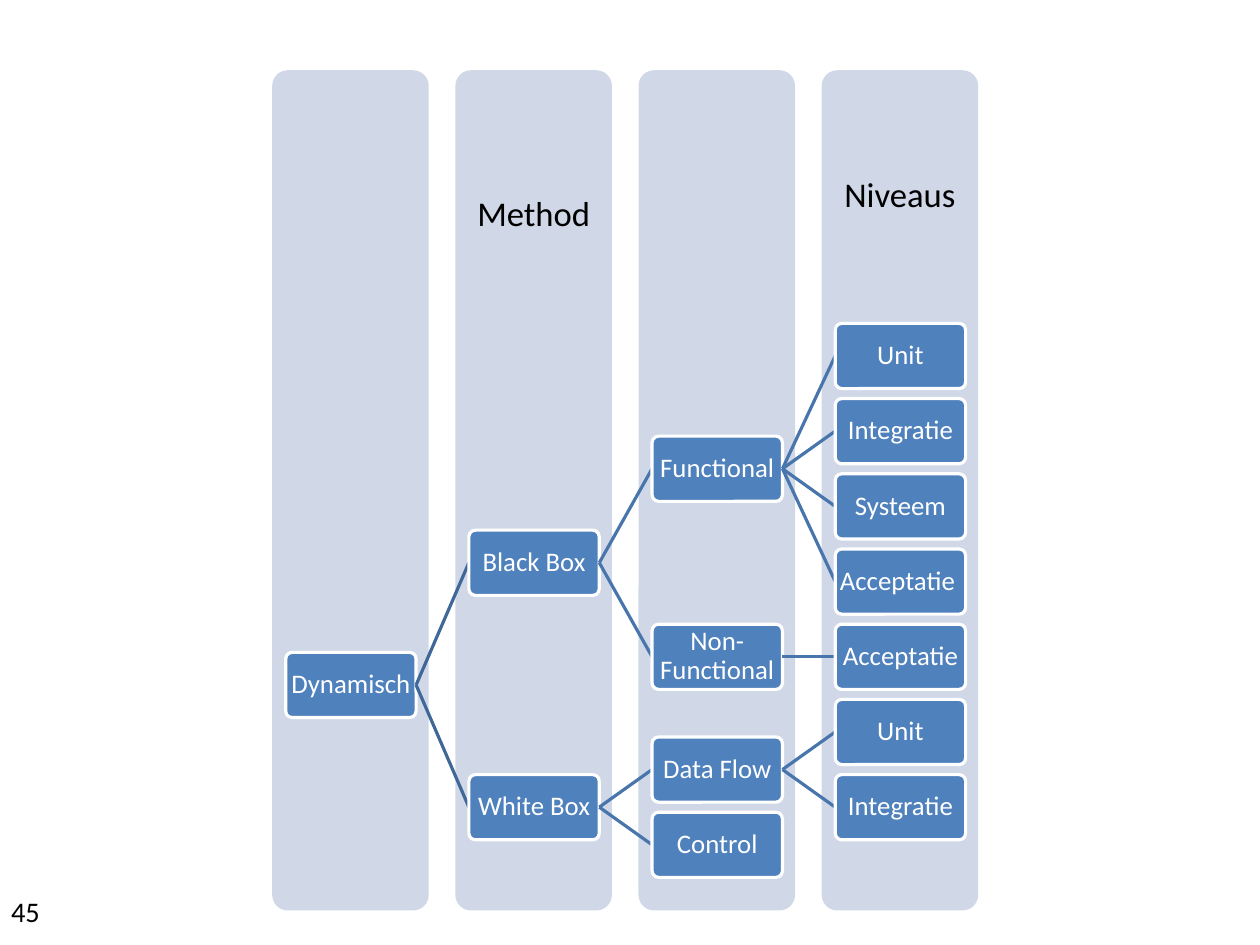
from pptx import Presentation
from pptx.dml.color import RGBColor
from pptx.enum.shapes import MSO_CONNECTOR, MSO_SHAPE
from pptx.enum.text import MSO_ANCHOR, PP_ALIGN
from pptx.oxml.ns import qn
from pptx.util import Pt
from lxml.etree import SubElement

FONT = "Calibri"
BAND_X, BAND_Y, BAND_W, BAND_H = 172.8, 44.6, 99.4, 533.5
STEP_X, STEP_Y = 116.3, 47.75
BOX_X, BOX_Y, BOX_W, BOX_H = 181.4, 205.3, 82.8, 41.4
HEADS = {1: " Method", 3: "Niveaus"}

# A leaf holds its row; any other node holds its children and sits midway.
TREE = ("Dynamisch", [
    ("Black Box", [
        ("Functional", [
            ("Unit", 0),
            ("Integratie", 1),
            ("Systeem", 2),
            ("Acceptatie ", 3),
        ]),
        ("Non-Functional", [("Acceptatie", 4)]),
    ]),
    ("White Box", [
        ("Data Flow", [("Unit", 5), ("Integratie", 6)]),
        ("Control", 6.5),
    ]),
])


def color(code):
    return RGBColor.from_string(code)


def write(shape, text, size, code, inset):
    """Put one centred run into the shape."""
    frame = shape.text_frame
    frame.word_wrap = True
    frame.vertical_anchor = MSO_ANCHOR.MIDDLE
    frame.margin_left = frame.margin_right = Pt(inset)
    frame.margin_top = frame.margin_bottom = Pt(inset)
    para = frame.paragraphs[0]
    para.alignment = PP_ALIGN.CENTER
    para.line_spacing = 0.9
    add_run(para, text, size, code)


def add_run(para, text, size, code):
    run = para.add_run()
    run.text = text
    run.font.name = FONT
    run.font.size = Pt(size)
    run.font.color.rgb = color(code)


def add_round(slide, x, y, w, h, fill):
    shape = slide.shapes.add_shape(
        MSO_SHAPE.ROUNDED_RECTANGLE, Pt(x), Pt(y), Pt(w), Pt(h))
    shape.adjustments[0] = 0.1
    shape.shadow.inherit = False
    shape.fill.solid()
    shape.fill.fore_color.rgb = color(fill)
    shape.line.fill.background()
    return shape


def add_band(slide, col):
    x = BAND_X + col * STEP_X
    add_round(slide, x, BAND_Y, BAND_W, BAND_H, "D0D8E8")
    if col in HEADS:
        head = slide.shapes.add_textbox(
            Pt(x), Pt(BAND_Y), Pt(BAND_W), Pt(160))
        write(head, HEADS[col], 22, "000000", 12.3)


def add_link(slide, start, code):
    """Start a line at the right side of a box."""
    link = slide.shapes.add_connector(MSO_CONNECTOR.STRAIGHT, 0, 0, 0, 0)
    link.begin_connect(start, 3)
    link.line.color.rgb = color(code)
    link.line.width = Pt(2)
    SubElement(link.element.spPr, qn("a:effectLst"))
    return link


def find_row(node):
    kids = node[1]
    if not isinstance(kids, list):
        return kids
    return sum(find_row(kid) for kid in kids) / len(kids)


def add_node(slide, node, col=0):
    """Draw a node with its whole branch and return its box."""
    name, kids = node
    box = add_round(slide, BOX_X + col * STEP_X,
                    BOX_Y + find_row(node) * STEP_Y, BOX_W, BOX_H, "4F81BD")
    box.line.color.rgb = color("FFFFFF")
    box.line.width = Pt(2)
    write(box, name, 17, "FFFFFF", 1)
    if isinstance(kids, list):
        for kid in kids:
            link = add_link(slide, box, "4875AC" if col else "3F6797")
            link.end_connect(add_node(slide, kid, col + 1), 1)
    return box


def add_number(slide, text):
    box = slide.shapes.add_textbox(Pt(0), Pt(564), Pt(42), Pt(14.4))
    box.text_frame.word_wrap = True
    add_run(box.text_frame.paragraphs[0], text, 18, "000000")


def main():
    deck = Presentation()
    deck.slide_width, deck.slide_height = Pt(800), Pt(600)
    slide = deck.slides.add_slide(deck.slide_layouts[6])
    add_number(slide, "45")
    for col in reversed(range(4)):
        add_band(slide, col)
    add_node(slide, TREE)
    deck.save("out.pptx")


if __name__ == "__main__":
    main()
